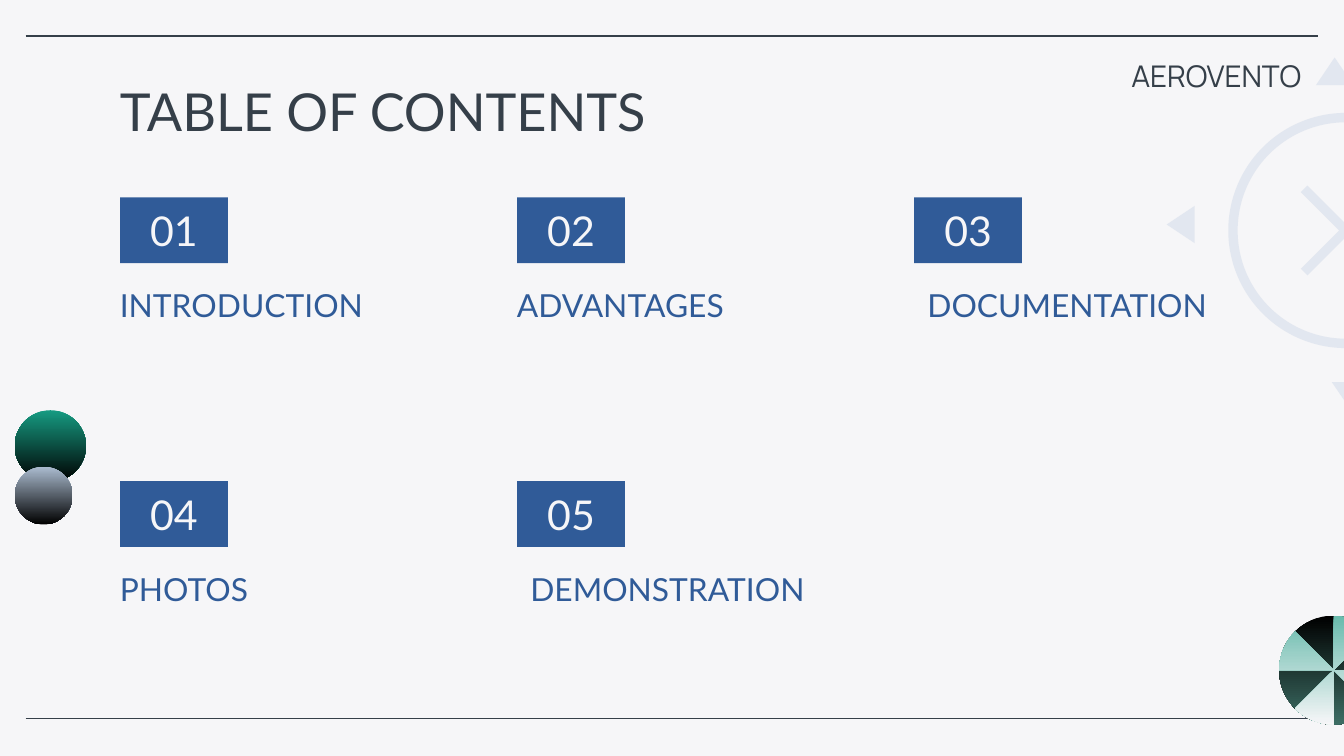
import math

import lxml.etree
import pptx
import pptx.dml.color
import pptx.enum.shapes
import pptx.enum.text
import pptx.oxml.ns
import pptx.util

Pt = pptx.util.Pt
RGB = pptx.dml.color.RGBColor
SHAPE = pptx.enum.shapes.MSO_SHAPE
ALIGN = pptx.enum.text.PP_ALIGN
ANCHOR = pptx.enum.text.MSO_ANCHOR
qn = pptx.oxml.ns.qn

# Colours
PAPER = RGB(0xF6, 0xF6, 0xF8)
INK = RGB(0x35, 0x3F, 0x49)
BLUE = RGB(0x30, 0x5B, 0x98)
PALE_BLUE = RGB(0xD6, 0xDE, 0xEB)
GREEN = RGB(0x16, 0x9B, 0x82)
GREY_BLUE = RGB(0xAB, 0xBC, 0xD0)
DARK_TEAL = RGB(0x3D, 0x6E, 0x65)
LIGHT_TEAL = RGB(0x68, 0xBA, 0xAC)
BLACK = RGB(0, 0, 0)

# Text formats
TITLE = {"name": "Lato", "size": Pt(28), "color": INK}
NUMBER = {"name": "Lato", "size": Pt(22), "color": PAPER}
LABEL = {"name": "Lato", "size": Pt(17), "color": BLUE}
HEADER = {"name": "Manrope", "size": Pt(16), "color": INK}

# Contents grid: label and its indent from the number box
ENTRIES = [("INTRODUCTION", -7.2), ("ADVANTAGES", -7.2), ("DOCUMENTATION", 0),
           ("PHOTOS", -7.2), ("DEMONSTRATION", 0)]
COLUMNS = 3
GRID_X, GRID_Y = 64.3, 105.8
STEP_X, STEP_Y = 212.7, 152


def set_text(sp, text, fmt, align=ALIGN.LEFT, anchor=ANCHOR.TOP):
    tf = sp.text_frame
    frame = {"word_wrap": True, "vertical_anchor": anchor,
             "auto_size": pptx.enum.text.MSO_AUTO_SIZE.NONE}
    for side in ("left", "right", "top", "bottom"):
        frame["margin_" + side] = Pt(7.2)
    for name, value in frame.items():
        setattr(tf, name, value)
    p = tf.paragraphs[0]
    p.alignment = align
    r = p.add_run()
    r.text = text
    for name, value in fmt.items():
        if name == "color":
            r.font.color.rgb = value
        else:
            setattr(r.font, name, value)


def add_text(s, box, text, fmt, anchor=ANCHOR.TOP):
    sp = s.shapes.add_textbox(*map(Pt, box))
    set_text(sp, text, fmt, anchor=anchor)


def fill_solid(sp, color, alpha=None):
    sp.shadow.inherit = False
    sp.line.fill.background()
    sp.fill.solid()
    sp.fill.fore_color.rgb = color
    if alpha is not None:
        clr = sp.fill._xPr.find(".//" + qn("a:srgbClr"))
        lxml.etree.SubElement(clr, qn("a:alpha")).set("val", str(alpha * 1000))


def fill_vertical(sp, top, bottom):
    sp.shadow.inherit = False
    sp.line.fill.background()
    sp.fill.gradient()
    sp.fill.gradient_angle = 270
    for stop, color, position in zip(sp.fill.gradient_stops, (top, bottom), (0, 1)):
        stop.color.rgb = color
        stop.position = position


def add_shape(s, kind, box):
    return s.shapes.add_shape(kind, *map(Pt, box))


def add_outline(s, *contours):
    contours = [[(Pt(x), Pt(y)) for x, y in c] for c in contours]
    fb = s.shapes.build_freeform(*contours[0][0])
    fb.add_line_segments(contours[0][1:], close=True)
    for c in contours[1:]:
        fb.move_to(*c[0])
        fb.add_line_segments(c[1:], close=True)
    return fb.convert_to_shape()


def add_rule(s, y):
    sp = s.shapes.add_connector(pptx.enum.shapes.MSO_CONNECTOR.STRAIGHT,
                                Pt(13.7), Pt(y), Pt(706.3), Pt(y))
    sp.line.color.rgb = INK
    sp.line.width = Pt(0.75)
    lxml.etree.SubElement(sp._element.spPr, qn("a:effectLst"))


def add_button(s):
    cx, cy, radius = 721, 123.5, 63
    # Cross: one corner group, turned through four quarter turns
    cross = []
    dx, dy = 20.5, 24.1
    for _ in range(4):
        cross += [(cx + dx, cy + dy), (cx + dy, cy + dx)]
        dx, dy = dy, -dx
        # Notch between neighbouring arms
        cross.append((cx + 3.6 * (dx > 0 and dy < 0) - 3.6 * (dx < 0 and dy > 0),
                      cy - 3.6 * (dx < 0 and dy < 0) + 3.6 * (dx > 0 and dy > 0)))
    arm, tip, notch = 24.1, 20.5, 3.6
    cross = []
    for sx, sy in ((1, 1), (-1, 1), (-1, -1), (1, -1)):
        corner = [(cx + sx * arm, cy + sy * tip), (cx + sx * tip, cy + sy * arm)]
        cross += corner if sx == sy else corner[::-1]
        cross.append((cx, cy + sy * notch) if sx == sy else (cx + sx * notch, cy))
    fill_solid(add_outline(s, cross), PALE_BLUE, 61)
    # Ring
    ring = add_shape(s, SHAPE.DONUT, (cx - radius, cy - radius, 2 * radius, 2 * radius))
    ring.adjustments[0] = 0.04
    fill_solid(ring, PALE_BLUE, 61)
    # Direction arrows
    for triangle in ([(625, 120.3), (640, 130.3), (640, 110.3)],
                     [(715, 30.8), (705, 45.6), (725, 45.6)],
                     [(713.5, 204.8), (723.6, 219.6), (733.7, 204.8)]):
        fill_solid(add_outline(s, triangle), PALE_BLUE, 61)


def add_pinwheel(s):
    cx, cy, radius = 714.5, 359, 29.2
    disc = add_shape(s, SHAPE.OVAL, (cx - radius, cy - radius, 2 * radius, 2 * radius))
    fill_vertical(disc, BLACK, DARK_TEAL)
    wedges = []
    for start in range(0, 360, 90):
        angles = [math.radians(start + a) for a in range(0, 46, 3)]
        wedges.append([(cx, cy)] + [(cx + radius * math.cos(a), cy + radius * math.sin(a))
                                    for a in angles])
    fill_vertical(add_outline(s, *wedges), LIGHT_TEAL, PAPER)


def add_entry(s, i, label, indent):
    row, col = divmod(i, COLUMNS)
    x, y = GRID_X + col * STEP_X, GRID_Y + row * STEP_Y
    sp = add_shape(s, SHAPE.RECTANGLE, (x, y, 57.8, 35.2))
    fill_solid(sp, BLUE)
    set_text(sp, f"{i + 1:02}", NUMBER, ALIGN.CENTER, ANCHOR.MIDDLE)
    add_text(s, (x + indent, y + 43.8, 181.4, 31), label, LABEL, ANCHOR.BOTTOM)


def main():
    prs = pptx.Presentation()
    prs.slide_width, prs.slide_height = Pt(720), Pt(405)
    s = prs.slides.add_slide(prs.slide_layouts[5])
    s.background.fill.solid()
    s.background.fill.fore_color.rgb = PAPER

    # Decoration
    for y in (19.3, 384.9):
        add_rule(s, y)
    for box, color in (((7.9, 219.8, 38.2, 38.2), GREEN),
                       ((7.9, 250, 31, 31), GREY_BLUE)):
        fill_vertical(add_shape(s, SHAPE.OVAL, box), color, BLACK)
    add_button(s)
    add_pinwheel(s)

    # Title and header
    title = s.shapes.title
    place = {"left": 57, "top": 35.3, "width": 607, "height": 45.4}
    for name, value in place.items():
        setattr(title, name, Pt(value))
    set_text(title, "TABLE OF CONTENTS", TITLE)
    add_text(s, (599, 23.8, 176.4, 38.2), "AEROVENTO", HEADER)

    # Contents
    for i, (label, indent) in enumerate(ENTRIES):
        add_entry(s, i, label, indent)

    prs.save("out.pptx")


if __name__ == "__main__":
    main()
